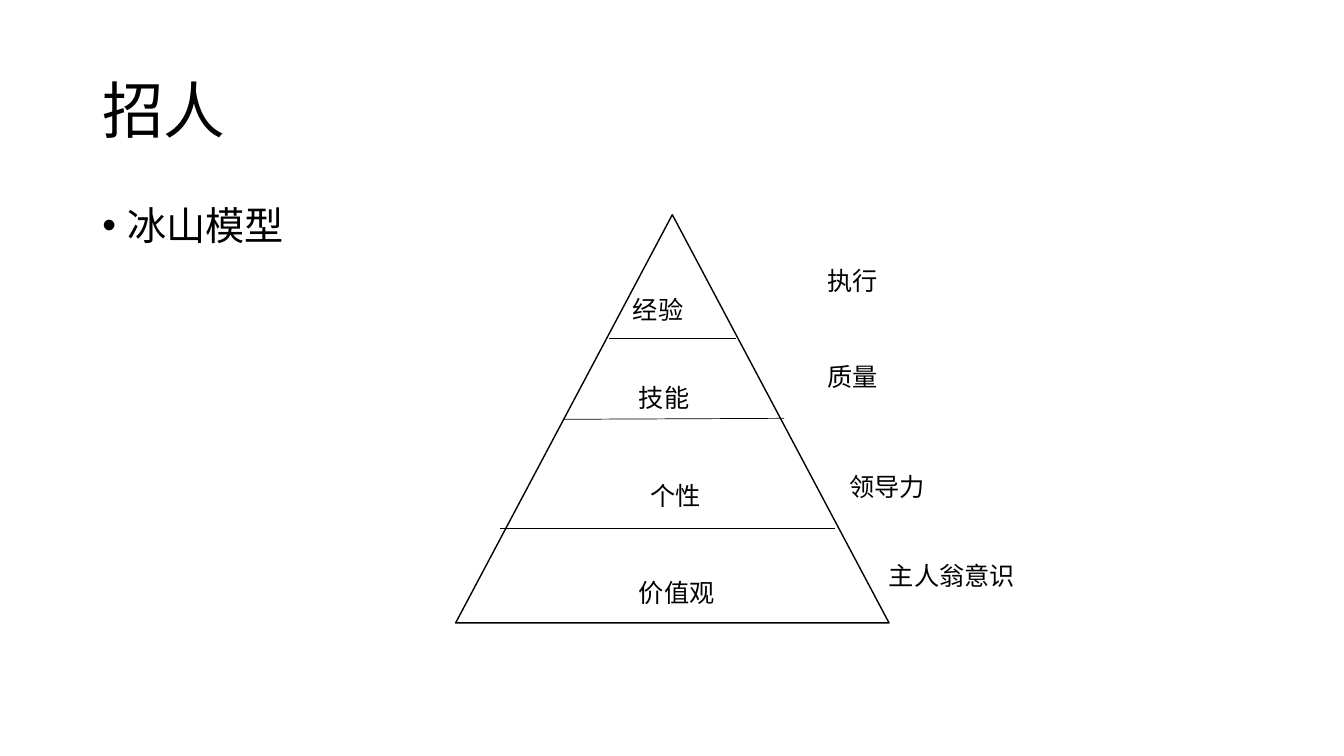
from lxml import etree
from pptx import Presentation
from pptx import util as u
from pptx.dml.color import RGBColor
from pptx.enum import shapes, text
from pptx.oxml.ns import qn

BLACK = RGBColor(0x00, 0x00, 0x00)
WHITE = RGBColor(0xFF, 0xFF, 0xFF)
COLUMNS, ROWS = 160, 90
LABEL_ROWS = 4.8

LAYERS = [
    ("经验", 74.16, 34.44, 12.48),
    ("技能", 74.88, 44.88, 11.76),
    ("个性", 76.2, 56.64, 16.44),
    ("价值观", 74.88, 68.16, 11.76),
]
OUTCOMES = [
    ("执行", 97.32, 30.96, 20.28),
    ("质量", 97.32, 42.48, 11.52),
    ("领导力", 99.96, 55.56, 12.36),
    ("主人翁意识", 104.64, 66.12, 18.6),
]
DIVIDERS = [
    (72.48, 40.32, 87.6, 40.32),
    (67.08, 49.92, 93.36, 49.8),
    (59.52, 62.88, 99.36, 62.88),
]


class IcebergSlide:
    font = "Noto Sans CJK SC"

    def __init__(self, deck):
        self.column = deck.slide_width / COLUMNS
        self.row = deck.slide_height / ROWS
        self.slide = deck.slides.add_slide(deck.slide_layouts[6])

    def place(self, x, y, across, down):
        return (round(x * self.column), round(y * self.row),
                round(across * self.column), round(down * self.row))

    def words(self, wording, x, y, across, down, size):
        box = self.slide.shapes.add_textbox(*self.place(x, y, across, down))
        frame = box.text_frame
        frame.word_wrap = True
        frame.text = wording
        run = frame.paragraphs[0].runs[0]
        run.font.size = u.Pt(size)
        run.font.color.rgb = BLACK
        run.font.name = self.font
        east_asian = etree.SubElement(run.font._element, qn("a:ea"))
        east_asian.set("typeface", self.font)
        return frame

    def title(self, wording):
        frame = self.words(wording, 11, 4.8, 138, 17.4, 44)
        frame.vertical_anchor = text.MSO_ANCHOR.MIDDLE
        frame.paragraphs[0].line_spacing = 0.9

    def bullet(self, wording):
        paragraph = self.words(wording, 11, 24, 138, 57.12, 28).paragraphs[0]
        paragraph.line_spacing = 0.9
        paragraph.space_before = u.Pt(10)
        properties = paragraph._p.get_or_add_pPr()
        properties.set("marL", str(u.Inches(0.25)))
        properties.set("indent", str(-u.Inches(0.25)))
        etree.SubElement(properties, qn("a:buFont")).set("typeface", "Arial")
        etree.SubElement(properties, qn("a:buChar")).set("char", "•")

    def label(self, wording, x, y, across):
        frame = self.words(wording, x, y, across, LABEL_ROWS, 18)
        frame.auto_size = text.MSO_AUTO_SIZE.SHAPE_TO_FIT_TEXT

    def iceberg(self, x, y, across, down):
        iceberg = self.slide.shapes.add_shape(
            shapes.MSO_SHAPE.ISOSCELES_TRIANGLE, *self.place(x, y, across, down))
        iceberg.shadow.inherit = False
        iceberg.fill.solid()
        iceberg.fill.fore_color.rgb = WHITE
        iceberg.line.color.rgb = BLACK
        iceberg.line.width = u.Pt(1)

    def divider(self, *ends):
        divider = self.slide.shapes.add_connector(
            shapes.MSO_CONNECTOR.STRAIGHT, *self.place(*ends))
        divider.line.color.rgb = BLACK
        divider.line.width = u.Pt(0.5)
        etree.SubElement(divider._element.spPr, qn("a:effectLst"))


def main():
    deck = Presentation()
    deck.slide_width, deck.slide_height = u.Inches(13.33), u.Inches(7.5)
    hiring = IcebergSlide(deck)
    hiring.title("招人")
    hiring.bullet("冰山模型")
    hiring.iceberg(54.24, 25.56, 51.6, 48.6)
    for ends in DIVIDERS:
        hiring.divider(*ends)
    for label in OUTCOMES + LAYERS[::-1]:
        hiring.label(*label)
    deck.save("out.pptx")


if __name__ == "__main__":
    main()
